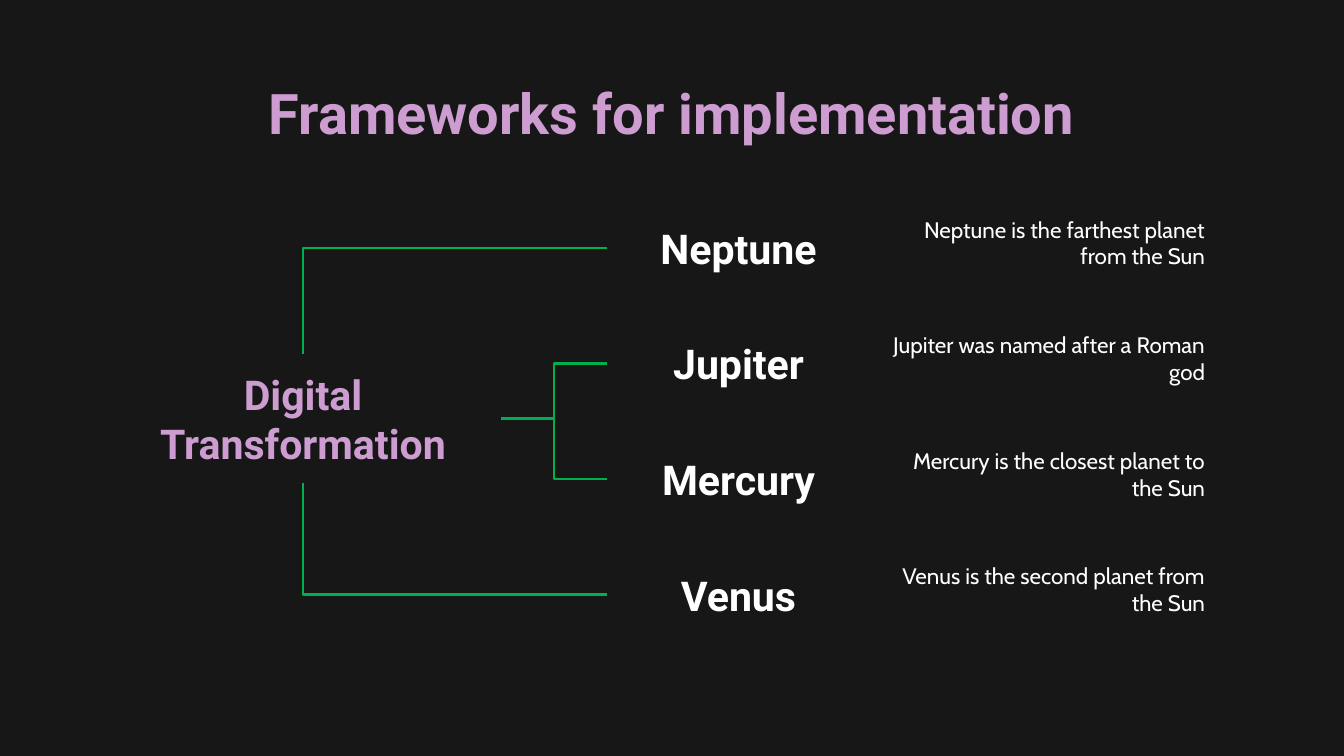
from typing import NamedTuple

from lxml.etree import SubElement
from pptx import Presentation
from pptx.dml.color import RGBColor
from pptx.enum.shapes import MSO_CONNECTOR
from pptx.enum.text import MSO_ANCHOR, PP_ALIGN
from pptx.oxml.ns import qn
from pptx.shapes.autoshape import Shape
from pptx.slide import Slide
from pptx.util import Emu, Pt

SCALE = 4572  # EMU per px, 200 px to the inch
DARK = RGBColor(0x17, 0x17, 0x17)
LILAC = RGBColor(0xCD, 0x9C, 0xD0)
WHITE = RGBColor(0xFF, 0xFF, 0xFF)
GREEN = RGBColor(0x00, 0xB0, 0x50)


class Box(NamedTuple):
    left: int
    top: int
    width: int
    height: int


class Style(NamedTuple):
    font: str
    size: int
    color: RGBColor
    bold: bool
    align: PP_ALIGN
    anchor: MSO_ANCHOR


class Planet(NamedTuple):
    name: str
    note: str
    side: int  # side of the hub that its branch leaves from
    bend: str


TITLE = Style("Roboto", 30, LILAC, True, PP_ALIGN.CENTER, MSO_ANCHOR.TOP)
HUB = Style("Roboto", 22, LILAC, True, PP_ALIGN.CENTER, MSO_ANCHOR.MIDDLE)
NAME = HUB._replace(color=WHITE)
NOTE = Style("Cabin", 12, WHITE, False, PP_ALIGN.RIGHT, MSO_ANCHOR.TOP)

PLANETS = [
    Planet("Neptune", "Neptune is the farthest planet from the Sun",
           0, "bentConnector2"),
    Planet("Jupiter", "Jupiter was named after a Roman god",
           3, "bentConnector3"),
    Planet("Mercury", "Mercury is the closest planet to the Sun",
           3, "bentConnector3"),
    Planet("Venus", "Venus is the second planet from the Sun",
           2, "bentConnector2"),
]
ROW_TOP, ROW_STEP, ROW_HIGH = 301, 172, 136


def px(value: int) -> Emu:
    return Emu(value * SCALE)


def add_text(slide: Slide, box: Box, text: str, style: Style) -> Shape:
    shape = slide.shapes.add_textbox(*map(px, box))
    frame = shape.text_frame
    frame.word_wrap = True
    frame.vertical_anchor = style.anchor
    frame.margin_left = frame.margin_right = px(20)
    frame.margin_top = frame.margin_bottom = px(20)
    para = frame.paragraphs[0]
    para.text = text
    para.alignment = style.align
    para.font.name = style.font
    para.font.size = Pt(style.size)
    para.font.bold = style.bold
    para.font.color.rgb = style.color
    return shape


def add_branch(slide: Slide, label: Shape, hub: Shape, planet: Planet) -> None:
    line = slide.shapes.add_connector(MSO_CONNECTOR.ELBOW, 0, 0, 0, 0)
    line.begin_connect(label, 1)
    line.end_connect(hub, planet.side)
    line.line.color.rgb = GREEN
    line.line.width = Pt(1.5)
    props = line.element.spPr
    props.find(qn("a:prstGeom")).set("prst", planet.bend)
    SubElement(props, qn("a:effectLst"))


def main() -> None:
    deck = Presentation()
    deck.slide_width, deck.slide_height = px(2000), px(1125)
    slide = deck.slides.add_slide(deck.slide_layouts[6])
    fill = slide.background.fill
    fill.solid()
    fill.fore_color.rgb = DARK

    # Title and hub
    add_text(slide, Box(157, 97, 1685, 126), "Frameworks for implementation", TITLE)
    hub = add_text(slide, Box(157, 527, 588, 192), "Digital Transformation", HUB)

    # Planet rows, each joined to the hub
    for row, planet in enumerate(PLANETS):
        top = ROW_TOP + row * ROW_STEP
        add_text(slide, Box(1294, top, 519, ROW_HIGH), planet.note, NOTE)
        label = add_text(slide, Box(904, top, 390, ROW_HIGH), planet.name, NAME)
        add_branch(slide, label, hub, planet)

    deck.save("out.pptx")


if __name__ == "__main__":
    main()
